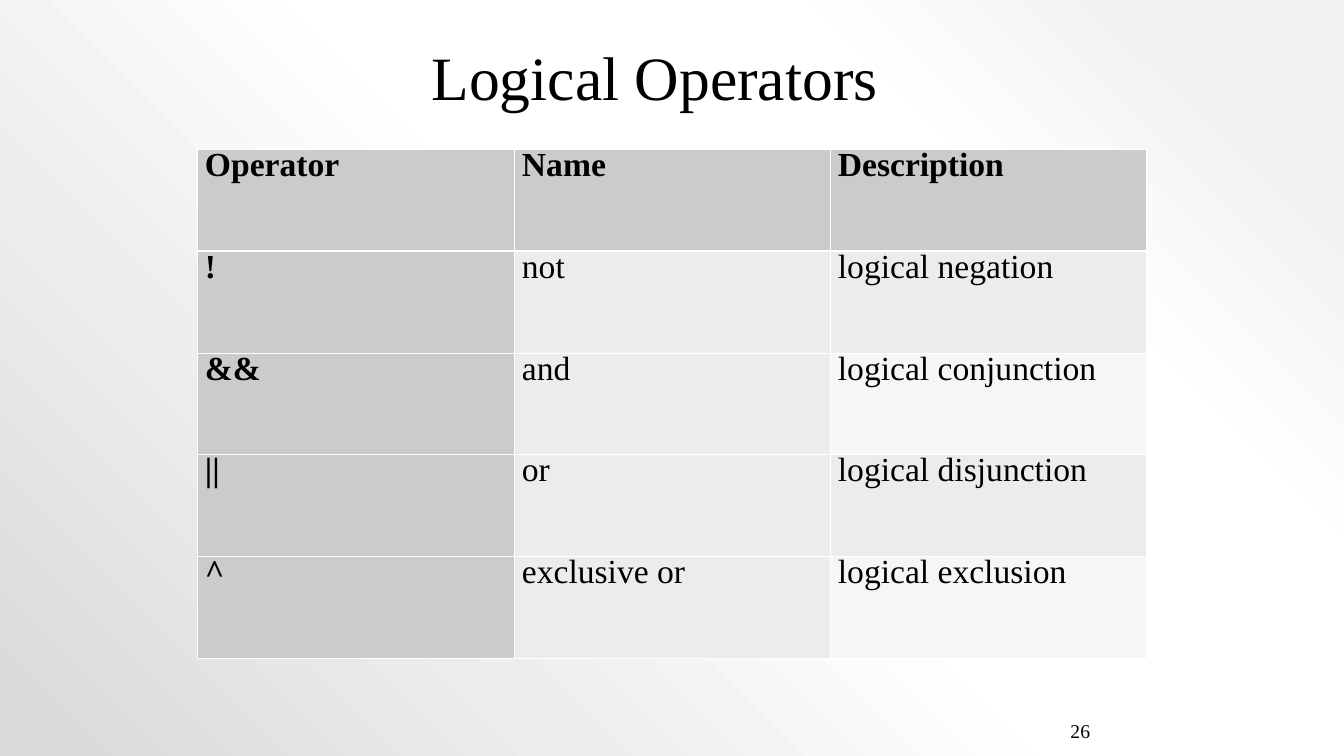
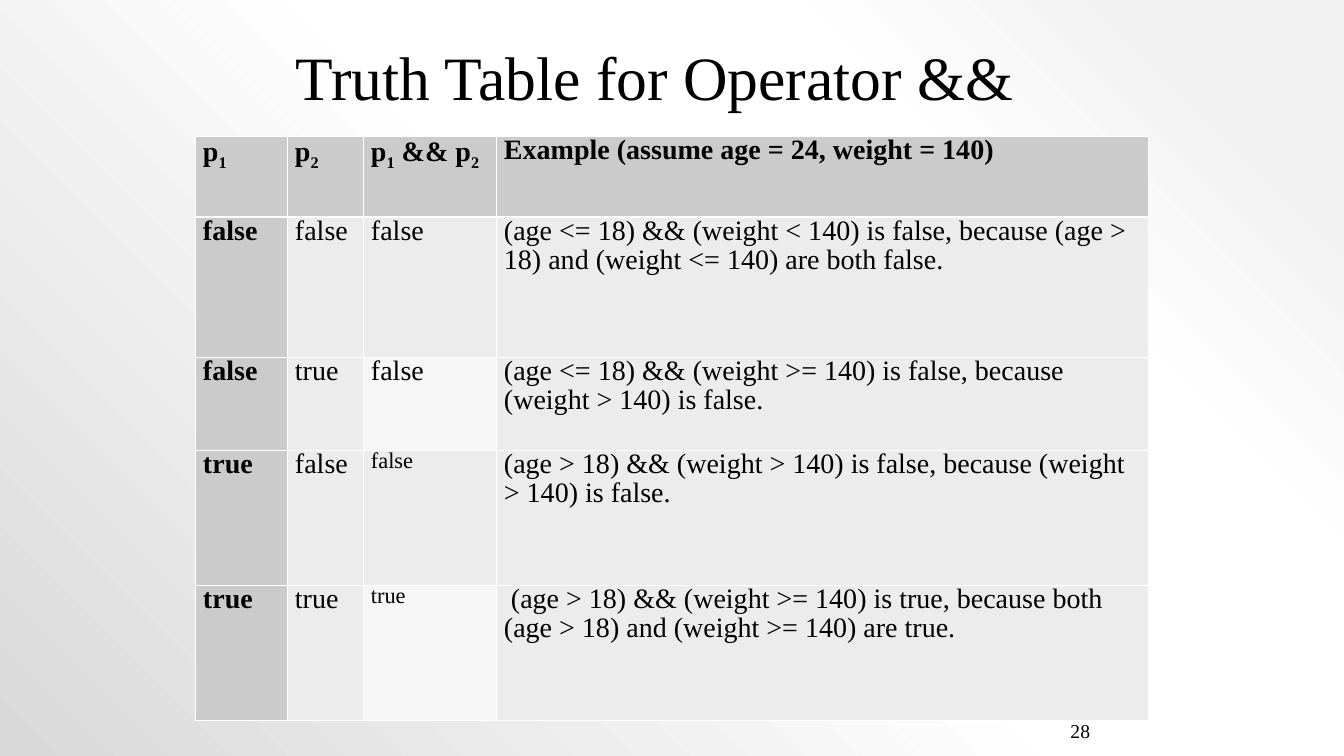
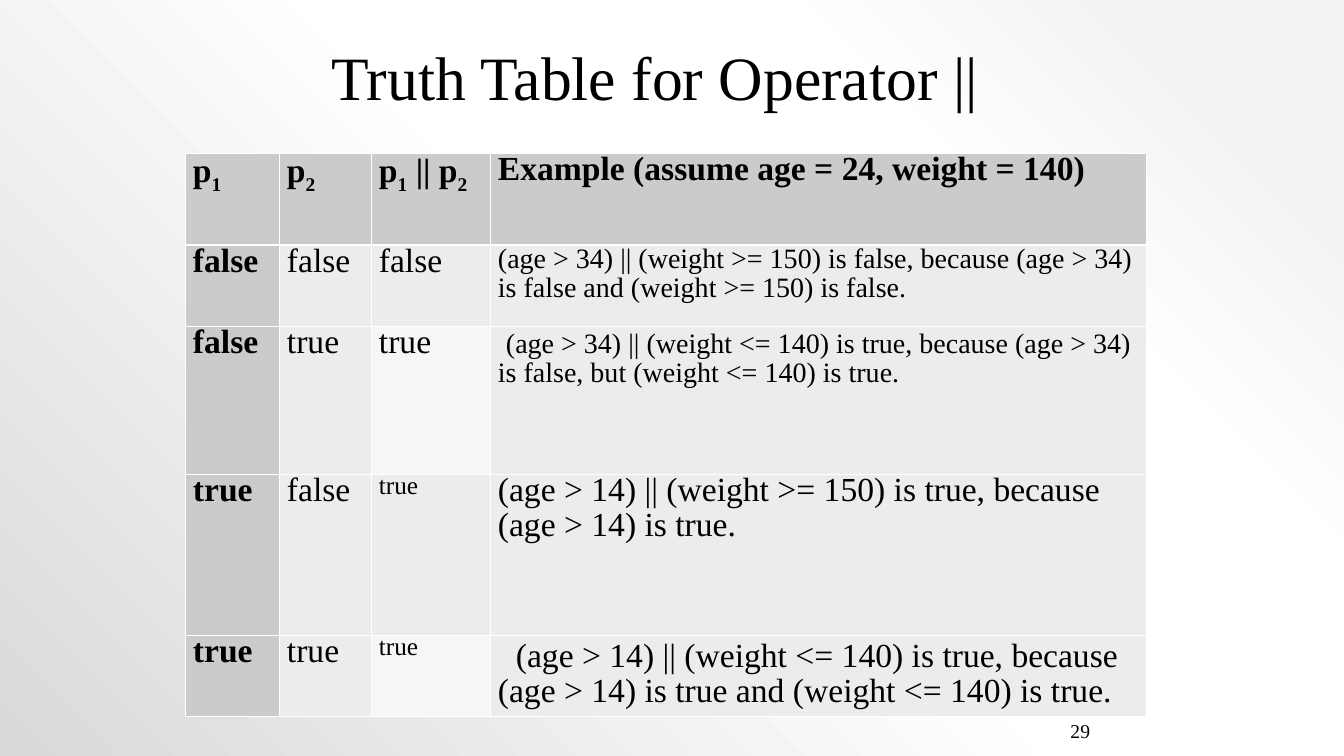
from lxml.etree import SubElement
from pptx import Presentation
from pptx.dml.color import RGBColor
from pptx.enum.text import MSO_ANCHOR as Anchor, PP_ALIGN as Align
from pptx.oxml.ns import qn
from pptx.util import Emu, Pt

W, H = 1344, 756
FONT = "Times New Roman"
BLACK = RGBColor(0x00, 0x00, 0x00)
WHITE = RGBColor(0xFF, 0xFF, 0xFF)
HEAD = RGBColor(0xCB, 0xCB, 0xCB)
BODY = RGBColor(0xEC, 0xEC, 0xEC)
PALE = RGBColor(0xF6, 0xF6, 0xF6)
MIST = RGBColor(0xF2, 0xF2, 0xF2)
SHADE = RGBColor(0xD9, 0xD9, 0xD9)
BACKDROP = [(10, MIST), (28, WHITE), (48, WHITE), (100, SHADE)]
THIN, THICK = Pt(0.45), Pt(1.47)
EXAMPLE = "Example (assume age = 24, weight = 140)"


def px(n):
    return Emu(round(n * 914400 / 100.8))


def add_color(parent, color):
    SubElement(parent, qn("a:srgbClr"), val=str(color))


def set_backdrop(master):
    master.background.fill.solid()
    bg = master.element.find(".//" + qn("p:bgPr"))
    bg.remove(bg[0])
    grad = SubElement(bg, qn("a:gradFill"), rotWithShape="1")
    bg.insert(0, grad)
    stops = SubElement(grad, qn("a:gsLst"))
    for pos, color in BACKDROP:
        add_color(SubElement(stops, qn("a:gs"), pos=str(pos * 1000)), color)
    circle = SubElement(grad, qn("a:path"), {"path": "circle"})
    SubElement(circle, qn("a:fillToRect"), l="100000", b="100000")


def write(tf, text, size=24, bold=False, align=Align.LEFT, spacing=1.0, indent=0):
    p = tf.paragraphs[0]
    p.alignment = align
    p.line_spacing = spacing
    if indent:
        p._p.get_or_add_pPr().set("indent", str(px(indent)))
    first, *rest = text.split("_")
    pieces = [(first, False)]
    for part in rest:
        pieces += [(part[0], True), (part[1:], False)]
    for piece, lowered in pieces:
        if not piece:
            continue
        r = p.add_run()
        r.text = piece
        r.font.name = FONT
        r.font.size = Pt(size)
        r.font.bold = bold
        r.font.color.rgb = BLACK
        if lowered:
            r.font._element.set("baseline", "-25000")


def add_text(s, box, text, **fmt):
    tf = s.shapes.add_textbox(*map(px, box)).text_frame
    tf.word_wrap = True
    tf.vertical_anchor = Anchor.MIDDLE
    write(tf, text, **fmt)


def set_borders(cell, top, bottom):
    tc_pr = cell._tc.get_or_add_tcPr()
    sides = [("L", THIN), ("R", THIN), ("T", top), ("B", bottom)]
    for i, (side, width) in enumerate(sides):
        ln = SubElement(tc_pr, qn("a:ln" + side), w=str(width))
        add_color(SubElement(ln, qn("a:solidFill")), WHITE)
        tc_pr.insert(i, ln)


def cell_color(row, col):
    if row == 0 or col == 0:
        return HEAD
    return PALE if col == 2 and row % 2 == 0 else BODY


def fill_cell(cell, row, col, text, size, drop=0, indent=0):
    cell.fill.solid()
    cell.fill.fore_color.rgb = cell_color(row, col)
    set_borders(cell, THICK if row == 1 else THIN, THICK if row == 0 else THIN)
    cell.margin_left = cell.margin_right = px(8)
    cell.margin_top, cell.margin_bottom = px(drop), 0
    write(cell.text_frame, text, size=size, bold=row == 0 or col == 0,
          spacing=0.94, indent=indent)


def add_grid(s, left, top, widths, heights, rows, size):
    box = (left, top, sum(widths), sum(heights))
    table = s.shapes.add_table(len(rows), len(widths), *map(px, box)).table
    for col, width in zip(table.columns, widths):
        col.width = px(width)
    for row, height in zip(table.rows, heights):
        row.height = px(height)
    for i, row in enumerate(rows):
        for j, entry in enumerate(row):
            text, fmt = entry if isinstance(entry, tuple) else (entry, {})
            fill_cell(table.cell(i, j), i, j, text, **{"size": size, **fmt})


def add_slide(prs, title, number):
    s = prs.slides.add_slide(prs.slide_layouts[6])
    add_text(s, (890, 706, 210, 50), number, size=14, align=Align.RIGHT)
    add_text(s, (226, 0, 858, 151), title, size=44, align=Align.CENTER)
    return s


def main():
    prs = Presentation()
    prs.slide_width, prs.slide_height = px(W), px(H)
    set_backdrop(prs.slide_master)

    s = add_slide(prs, "Logical Operators", "26")
    add_grid(s, 197, 149, [317, 316, 316], [102, 102, 101, 102, 102], [
        ["Operator", "Name", "Description"],
        ["!", "not", "logical negation"],
        ["&&", "and", "logical conjunction"],
        ["||", "or", "logical disjunction"],
        ["^", "exclusive or", "logical exclusion"],
    ], size=24)

    s = add_slide(prs, "Truth Table for Operator &&", "28")
    small = {"size": 16}
    add_grid(s, 195, 136, [92, 76, 133, 652], [81, 140, 93, 135, 135], [
        ["p_1", "p_2", "p_1 && p_2", EXAMPLE],
        ["false", "false", "false",
         "(age <= 18) && (weight < 140) is false, because (age > 18) "
         "and (weight <= 140) are both false."],
        ["false", "true", "false",
         "(age <= 18) && (weight >= 140) is false, because (weight > 140) is false."],
        ["true", "false", ("false", small),
         "(age > 18) && (weight > 140) is false, because (weight > 140) is false."],
        ["true", "true", ("true", small),
         ("(age > 18) && (weight >= 140) is true, because both (age > 18) "
          "and (weight >= 140) are true.", {"indent": 7})],
    ], size=20)

    s = add_slide(prs, "Truth Table for Operator ||", "29")
    small = {"size": 18}
    add_grid(s, 185, 153, [94, 92, 119, 656], [92, 81, 148, 161, 81], [
        ["p_1", "p_2", "p_1 || p_2", EXAMPLE],
        ["false", "false", "false",
         ("(age > 34) || (weight >= 150) is false, because (age > 34) is false "
          "and (weight >= 150) is false.", {"size": 20})],
        ["false", "true", "true",
         ("(age > 34) || (weight <= 140) is true, because (age > 34) is false, "
          "but (weight <= 140) is true.", {"size": 20, "drop": 4, "indent": 8})],
        ["true", "false", ("true", small),
         "(age > 14) || (weight >= 150) is true, because (age > 14) is true."],
        ["true", "true", ("true", small),
         ("(age > 14) || (weight <= 140) is true, because (age > 14) is true "
          "and (weight <= 140) is true.", {"drop": 5, "indent": 18})],
    ], size=24)

    prs.save("out.pptx")


if __name__ == "__main__":
    main()
